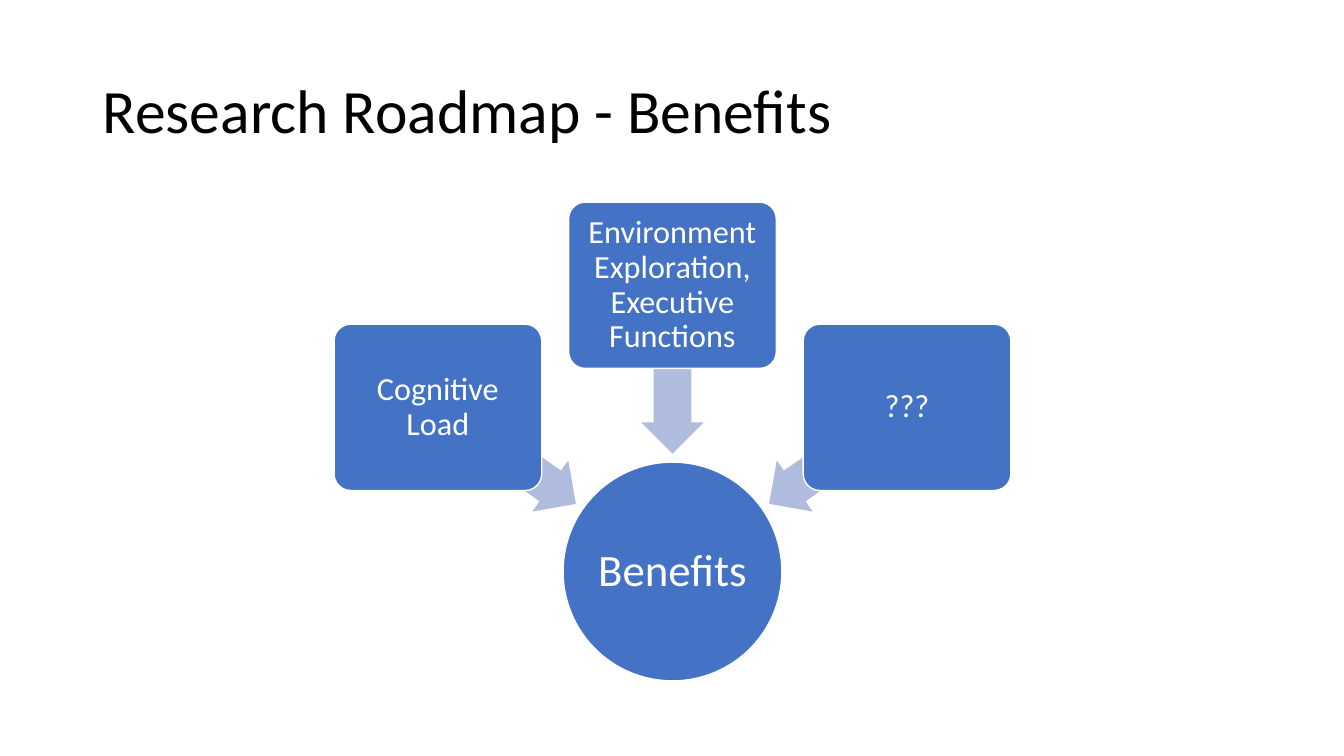
from dataclasses import dataclass
from math import cos, radians, sin

from pptx import Presentation
from pptx.dml.color import RGBColor
from pptx.enum.shapes import MSO_SHAPE
from pptx.enum.text import MSO_ANCHOR, PP_ALIGN
from pptx.util import Inches, Pt

TITLE = "Research Roadmap - Benefits"
HUB = "Benefits"
SOURCES = [
    ("Cognitive Load", -55),
    ("Environment Exploration, Executive Functions", 0),
    ("???", 55),
]


@dataclass(frozen=True)
class Theme:
    font: str = "Calibri"
    black: str = "000000"
    white: str = "FFFFFF"
    blue: str = "4472C4"
    pale_blue: str = "B0BCDE"
    title_size: int = 44
    hub_size: int = 32
    card_size: int = 23


THEME = Theme()
HUB_X, HUB_Y, HUB_DIAMETER = 6.67, 5.67, 2.17
CARD_RADIUS, CARD_WIDTH, CARD_HEIGHT = 2.84, 2.06, 1.65
ARROW_RADIUS, ARROW_WIDTH, ARROW_HEIGHT = 2.0, 1.66, 0.62


def write_text(shape, text, *, size, color=THEME.white,
               align=PP_ALIGN.CENTER, inset=0.05):
    frame = shape.text_frame
    frame.word_wrap = True
    frame.vertical_anchor = MSO_ANCHOR.MIDDLE
    frame.margin_left = frame.margin_right = Inches(inset)
    frame.margin_top = frame.margin_bottom = Inches(inset)
    paragraph = frame.paragraphs[0]
    paragraph.alignment = align
    paragraph.line_spacing = 0.9
    run = paragraph.add_run()
    run.text = text
    run.font.name = THEME.font
    run.font.size = Pt(size)
    run.font.color.rgb = RGBColor.from_string(color)


def add_centered(kind, center, width, height, fill, outline=None):
    x, y = center
    shape = slide.shapes.add_shape(
        kind, Inches(x - width / 2), Inches(y - height / 2),
        Inches(width), Inches(height))
    shape.shadow.inherit = False
    shape.fill.solid()
    shape.fill.fore_color.rgb = RGBColor.from_string(fill)
    if outline:
        shape.line.color.rgb = RGBColor.from_string(outline)
        shape.line.width = Pt(1)
    else:
        shape.line.fill.background()
    return shape


def around_hub(radius, angle):
    return (HUB_X + radius * sin(radians(angle)),
            HUB_Y - radius * cos(radians(angle)))


presentation = Presentation()
presentation.slide_width = Inches(13.33)
presentation.slide_height = Inches(7.5)
slide = presentation.slides.add_slide(presentation.slide_layouts[5])

title = slide.shapes.title
title.left, title.top = Inches(0.92), Inches(0.4)
title.width, title.height = Inches(11.5), Inches(1.45)
write_text(title, TITLE, size=THEME.title_size, color=THEME.black,
           align=PP_ALIGN.LEFT, inset=0.1)

hub = add_centered(MSO_SHAPE.OVAL, (HUB_X, HUB_Y), HUB_DIAMETER,
                   HUB_DIAMETER, THEME.blue, THEME.white)
write_text(hub, HUB, size=THEME.hub_size, inset=0.02)

for label, angle in SOURCES:
    arrow = add_centered(MSO_SHAPE.LEFT_ARROW, around_hub(ARROW_RADIUS, angle),
                         ARROW_WIDTH, ARROW_HEIGHT, THEME.pale_blue)
    arrow.adjustments[0] = 0.6
    arrow.adjustments[1] = 0.5
    arrow.rotation = 270 + angle
    card = add_centered(MSO_SHAPE.ROUNDED_RECTANGLE,
                        around_hub(CARD_RADIUS, angle),
                        CARD_WIDTH, CARD_HEIGHT, THEME.blue, THEME.white)
    card.adjustments[0] = 0.1
    write_text(card, label, size=THEME.card_size)

presentation.save("out.pptx")
